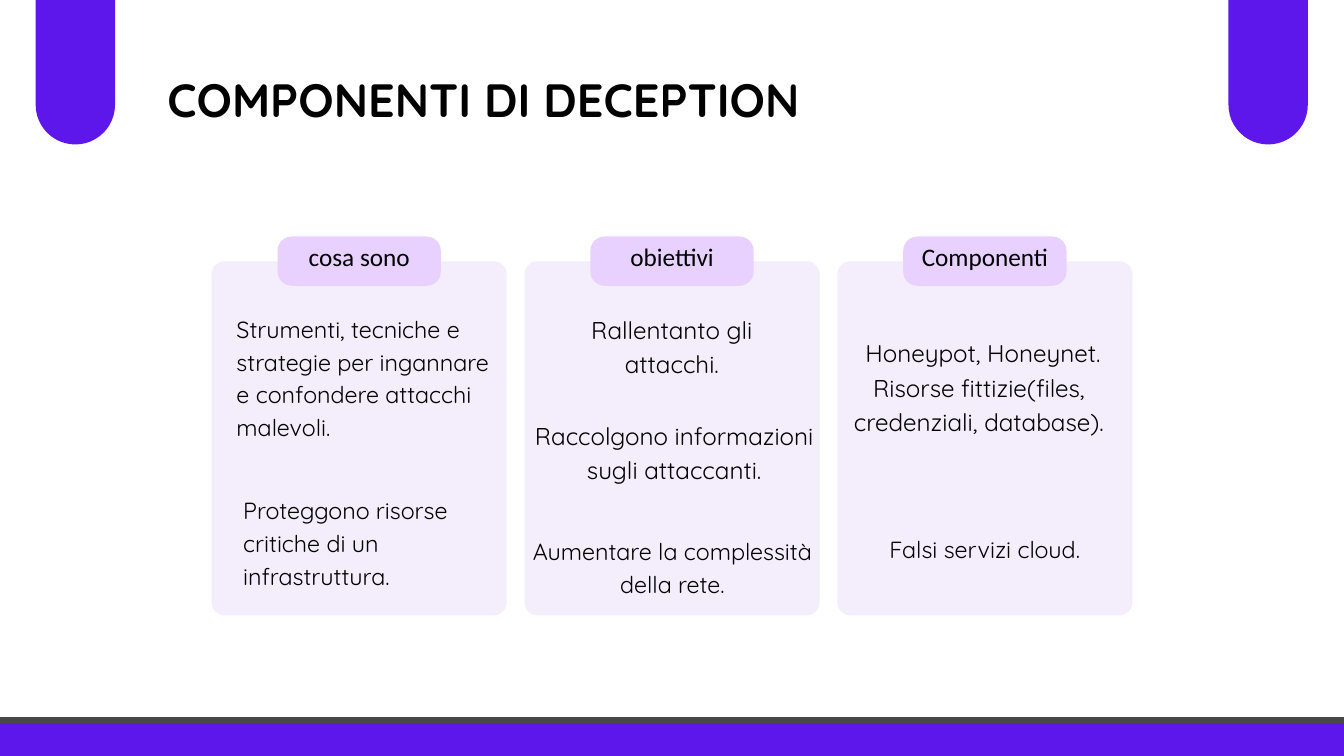
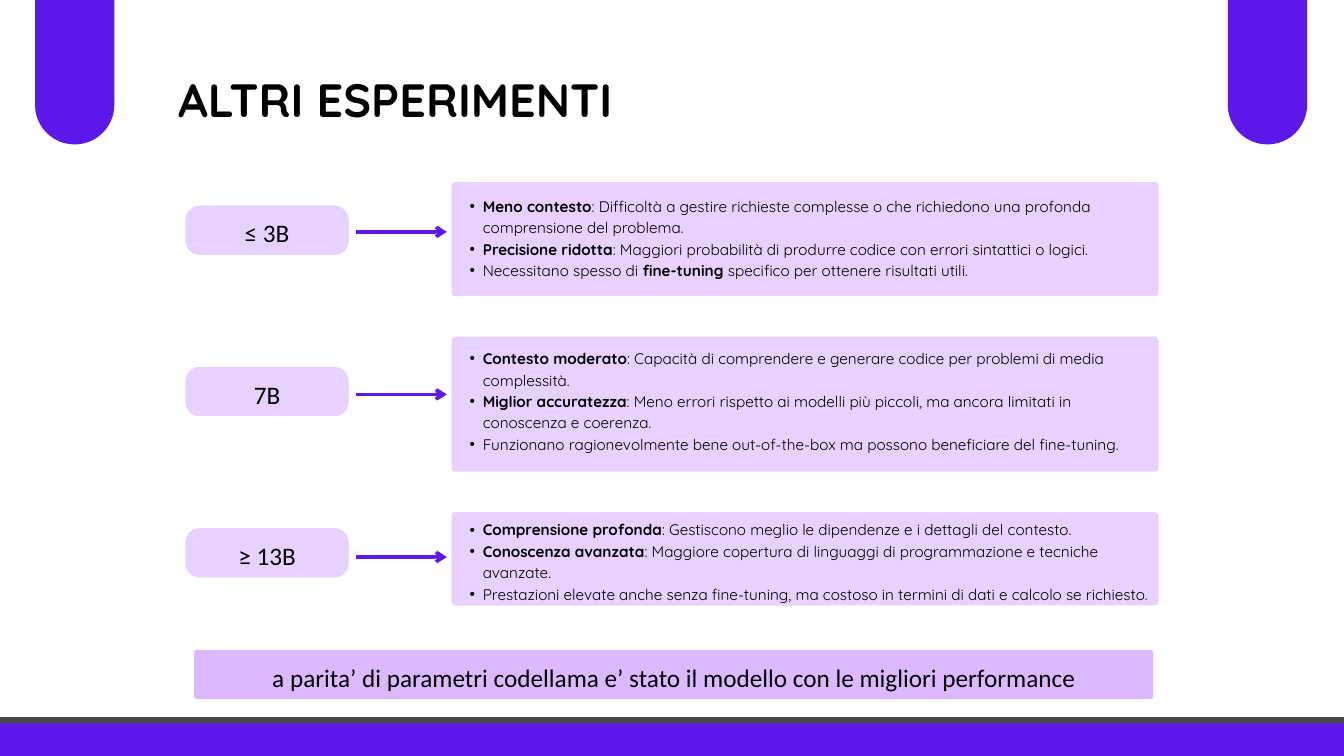
from dataclasses import dataclass

from lxml.etree import SubElement
from pptx import Presentation
from pptx.dml.color import RGBColor
from pptx.enum.shapes import MSO_CONNECTOR, MSO_SHAPE
from pptx.enum.text import MSO_ANCHOR, PP_ALIGN
from pptx.oxml.ns import qn
from pptx.shapes.autoshape import Shape
from pptx.slide import Slide
from pptx.text.text import TextFrame
from pptx.util import Pt

WIDE, HIGH = 1440, 810
PURPLE, ARROW, EDGE = "5E17EB", "5E17EC", "494848"
LILAC, PALE, VIOLET, BLACK = "E8D1FF", "F4EDFB", "DCB8FF", "000000"
HEAD, PLAIN = "Quicksand", "Calibri"
PAD = 4.32
TAG_WIDE, TAG_HIGH = 175, 52.8


@dataclass(frozen=True)
class Box:
    left: float
    top: float
    width: float
    height: float


@dataclass(frozen=True)
class Note:
    box: Box
    text: str
    size: float = 25
    align: PP_ALIGN = PP_ALIGN.CENTER


@dataclass(frozen=True)
class Tier:
    label: str
    top: float
    height: float
    inset: float
    points: str


TAGS = ["cosa sono", "obiettivi", "Componenti"]
NOTES = [
    Note(Box(253.4, 332.6, 278, 138),
         "Strumenti, tecniche e strategie per ingannare e confondere attacchi malevoli.",
         align=PP_ALIGN.LEFT),
    Note(Box(260.6, 527, 289.4, 106), "Proteggono risorse critiche di un infrastruttura.",
         align=PP_ALIGN.LEFT),
    Note(Box(588.2, 332.6, 263.5, 75), "Rallentanto gli attacchi.", 26),
    Note(Box(564.5, 445.7, 316, 75), "Raccolgono informazioni sugli attaccanti.", 26),
    Note(Box(558.7, 571, 323.3, 71), "Aumentare la complessità della rete."),
    Note(Box(918, 357.1, 270.7, 34), "Honeypot, Honeynet.", 26),
    Note(Box(913.7, 394.6, 270.7, 106.5),
         "Risorse fittizie(files, credenziali, database).", 26),
    Note(Box(897.1, 568.8, 316, 36.7), "Falsi servizi cloud."),
]
TIERS = [
    Tier("≤ 3B", 195.1, 122, 11.5,
         "*Meno contesto*: Difficoltà a gestire richieste complesse o che richiedono una "
         "profonda comprensione del problema.\n"
         "*Precisione ridotta*: Maggiori probabilità di produrre codice con errori "
         "sintattici o logici.\n"
         "Necessitano spesso di *fine-tuning *specifico per ottenere risultati utili."),
    Tier("7B", 360.7, 144.7, 9,
         "*Contesto moderato*: Capacità di comprendere e generare codice per problemi di "
         "media complessità.\n"
         "*Miglior accuratezza*: Meno errori rispetto ai modelli più piccoli, ma ancora "
         "limitati in conoscenza e coerenza.\n"
         "Funzionano ragionevolmente bene out-of-the-box ma possono beneficiare del "
         "fine-tuning."),
    Tier("≥ 13B", 548.8, 100, 4.5,
         "*Comprensione profonda*: Gestiscono meglio le dipendenze e i dettagli del "
         "contesto.\n"
         "*Conoscenza avanzata*: Maggiore copertura di linguaggi di programmazione e "
         "tecniche avanzate.\n"
         "Prestazioni elevate anche senza fine-tuning, ma costoso in termini di dati e "
         "calcolo se richiesto."),
]


def color(code: str) -> RGBColor:
    return RGBColor.from_string(code)


def write(frame: TextFrame, text: str, *, size: float, font: str = HEAD,
          bold: bool = False, align: PP_ALIGN = PP_ALIGN.LEFT, lead: float = 0,
          anchor: MSO_ANCHOR = MSO_ANCHOR.TOP, bullet: bool = False,
          side: float = 0, top: float = 0, bottom: float = 0) -> None:
    frame.word_wrap = True
    frame.vertical_anchor = anchor
    frame.margin_left = frame.margin_right = Pt(side)
    frame.margin_top, frame.margin_bottom = Pt(top), Pt(bottom)
    for row, line in enumerate(text.split("\n")):
        para = frame.add_paragraph() if row else frame.paragraphs[0]
        para.alignment = align
        para.line_spacing = Pt(lead or size * 1.4)
        if bullet:
            props = para._p.get_or_add_pPr()
            props.set("marL", str(Pt(28)))
            props.set("indent", str(Pt(-14)))
            SubElement(props, qn("a:buFont")).set("typeface", "Arial")
            SubElement(props, qn("a:buChar")).set("char", "•")
        for part, piece in enumerate(line.split("*")):
            if piece:
                run = para.add_run()
                run.text = piece
                run.font.name = font
                run.font.size = Pt(size)
                run.font.bold = bold or part % 2 == 1
                run.font.color.rgb = color(BLACK)


def panel(slide: Slide, box: Box, fill: str, round_by: float, edge: str = "") -> Shape:
    shape = slide.shapes.add_shape(
        MSO_SHAPE.ROUNDED_RECTANGLE, Pt(box.left), Pt(box.top), Pt(box.width), Pt(box.height))
    shape.adjustments[0] = round_by / min(box.width, box.height)
    shape.shadow.inherit = False
    shape.fill.solid()
    shape.fill.fore_color.rgb = color(fill)
    if edge:
        shape.line.color.rgb = color(edge)
        shape.line.width = Pt(6.75)
    else:
        shape.line.fill.background()
    return shape


def label(slide: Slide, box: Box, text: str, *, fill: str = LILAC,
          curve: float = 15.2, lift: float = 0) -> None:
    shape = panel(slide, box, fill, curve)
    write(shape.text_frame, text, size=27, font=PLAIN, align=PP_ALIGN.CENTER,
          anchor=MSO_ANCHOR.MIDDLE, side=PAD, top=PAD, bottom=PAD + lift)


def place(slide: Slide, box: Box) -> TextFrame:
    return slide.shapes.add_textbox(
        Pt(box.left), Pt(box.top), Pt(box.width), Pt(box.height)).text_frame


def arrow(slide: Slide, start: float, end: float, level: float) -> None:
    line = slide.shapes.add_connector(
        MSO_CONNECTOR.STRAIGHT, Pt(start), Pt(level), Pt(end), Pt(level))
    line.line.color.rgb = color(ARROW)
    line.line.width = Pt(3.75)
    SubElement(line.line._get_or_add_ln(), qn("a:tailEnd")).set("type", "arrow")
    SubElement(line._element.spPr, qn("a:effectLst"))


def frame_up(deck, title: str, left: float, width: float, shift: float = 0) -> Slide:
    slide = deck.slides.add_slide(deck.slide_layouts[6])
    for start in (38.2, 1316.2):
        panel(slide, Box(start + shift, -77.8, 85, 232.6), PURPLE, 42.5)
    panel(slide, Box(-41.8 + shift, 771.8, 1523.5, 64.8), PURPLE, 6.5, EDGE)
    write(place(slide, Box(left, 65.5, width, 75.6)), title, size=50, bold=True)
    return slide


def draw_parts(deck) -> None:
    slide = frame_up(deck, "COMPONENTI DI DECEPTION", 179.3, 1136.9)
    cards = [Box(226.8 + 335.2 * col, 280, 316.1, 379.4) for col in range(len(TAGS))]
    for card in cards:
        panel(slide, card, PALE, 14)
    for card, text in zip(cards, TAGS):
        left = card.left + (card.width - TAG_WIDE) / 2
        label(slide, Box(left, 253.4, TAG_WIDE, TAG_HIGH), text, lift=15)
    for note in NOTES:
        write(place(slide, note.box), note.text, size=note.size, align=note.align)


def draw_tests(deck) -> None:
    slide = frame_up(deck, "ALTRI ESPERIMENTI", 190.8, 1013, -0.7)
    for row, tier in enumerate(TIERS):
        label(slide, Box(198.7, 220.3 + 172.8 * row, TAG_WIDE, TAG_HIGH), tier.label)
        shape = panel(slide, Box(483.8, tier.top, 757.5, tier.height), LILAC, 4)
        write(shape.text_frame, tier.points, size=16.4, lead=23, bullet=True,
              side=PAD, top=tier.inset)
        arrow(slide, 381.6, 478.8, 248.4 + 174.2 * row)
    label(slide, Box(208.1, 696.2, 1027.4, TAG_HIGH),
          "a parita’ di parametri codellama e’ stato il modello con le migliori performance",
          fill=VIOLET, curve=3)


def main() -> None:
    deck = Presentation()
    deck.slide_width, deck.slide_height = Pt(WIDE), Pt(HIGH)
    draw_parts(deck)
    draw_tests(deck)
    deck.save("out.pptx")


if __name__ == "__main__":
    main()
